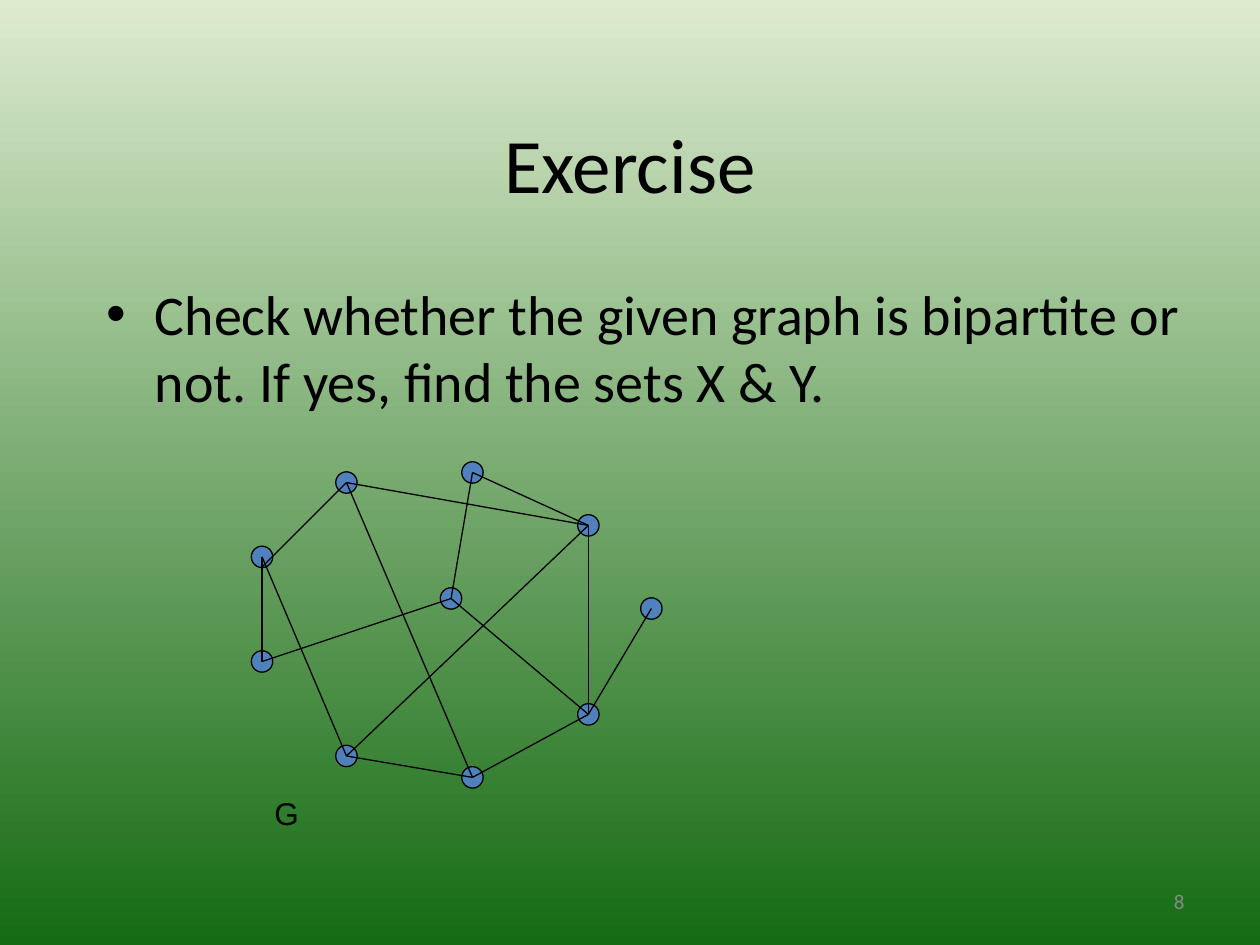
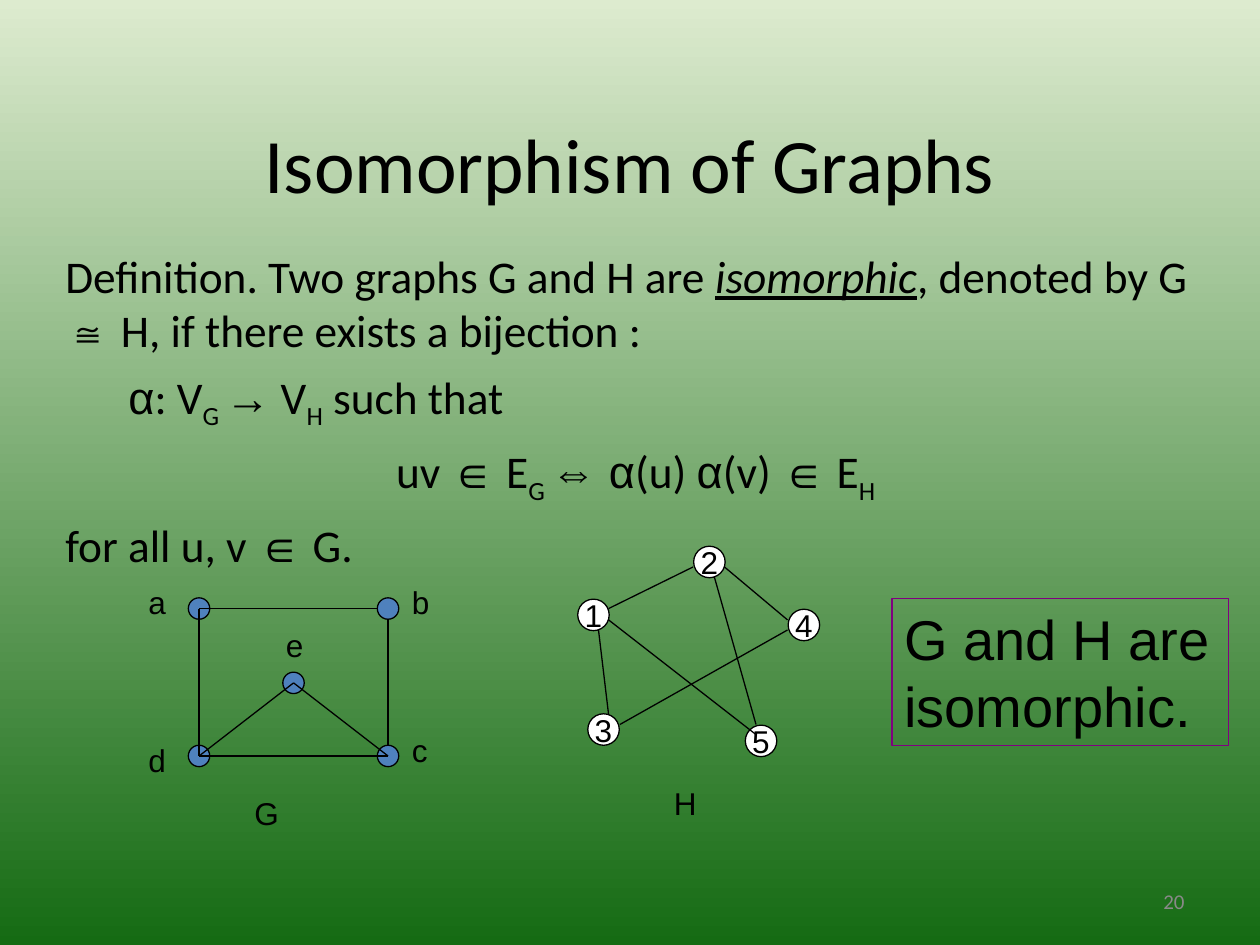
"""Build two graph theory slides: a bipartite exercise and an isomorphism definition."""
from dataclasses import dataclass

from lxml import etree
from pptx import Presentation
from pptx.dml.color import RGBColor
from pptx.enum.shapes import MSO_CONNECTOR, MSO_SHAPE
from pptx.enum.text import MSO_ANCHOR, PP_ALIGN
from pptx.oxml.ns import qn
from pptx.util import Inches, Pt

LEFT, CENTER, RIGHT = PP_ALIGN.LEFT, PP_ALIGN.CENTER, PP_ALIGN.RIGHT
TOP, MIDDLE = MSO_ANCHOR.TOP, MSO_ANCHOR.MIDDLE
ELLIPSE, RECTANGLE = MSO_SHAPE.OVAL, MSO_SHAPE.RECTANGLE
STRAIGHT = MSO_CONNECTOR.STRAIGHT
BODY, SYMBOL, SUBSCRIPT, TERM = "body", "symbol", "subscript", "term"


@dataclass(frozen=True)
class Theme:
    """Colours, fonts, type sizes and line width."""
    background_top: str = "DDEBCF"
    background_bottom: str = "156B13"
    ink: str = "000000"
    muted: str = "898989"
    node: str = "4F81BD"
    node_numbered: str = "FFFFFF"
    frame: str = "800080"
    body_font: str = "Calibri"
    label_font: str = "Arial"
    title_size: float = 44
    large_size: float = 32
    definition_size: float = 25.9
    label_size: float = 18
    number_size: float = 12
    line_width: float = 0.75


THEME = Theme()
TITLE_BOX = (0.75, 0.88, 8.5, 0.83)
NUMBER_BOX = (7.17, 6.95, 2.33, 0.4)

EXERCISE = "Check whether the given graph is bipartite or not. If yes, find the sets X & Y."
EXERCISE_BOX = (0.75, 2.17, 8.92, 4.5)

DEFINITION_BOX = (0.42, 1.92, 9.25, 2.75)
DEFINITION = [
    (LEFT, [("Definition. Two graphs G and H are ", BODY), ("isomorphic", TERM),
            (", denoted by G ", BODY), ("≅", SYMBOL),
            (" H, if there exists a bijection :", BODY)]),
    (LEFT, [("\t", BODY), ("α", SYMBOL), (": V", BODY), ("G ", SUBSCRIPT), ("→", SYMBOL),
            (" V", BODY), ("H", SUBSCRIPT), (" such that", BODY)]),
    (CENTER, [("uv ", BODY), ("∈", SYMBOL), (" E", BODY), ("G ", SUBSCRIPT),
              ("⇔ α", SYMBOL), ("(u) ", BODY), ("α", SYMBOL), ("(v) ", BODY),
              ("∈", SYMBOL), (" E", BODY), ("H", SUBSCRIPT)]),
    (LEFT, [("for all u, v ", BODY), ("∈", SYMBOL), (" G.", BODY)]),
]
CONCLUSION = "G and H are isomorphic."
CONCLUSION_BOX = (7.08, 4.75, 2.67, 1.17)

EXERCISE_GRAPH = {
    "diameter": 0.17,
    "nodes": {
        "west": (2.08, 4.42), "northwest": (2.75, 3.83), "southwest": (2.08, 5.25),
        "middle": (3.58, 4.75), "south": (2.75, 6), "bottom": (3.75, 6.17),
        "southeast": (4.67, 5.67), "east": (5.17, 4.83), "northeast": (4.67, 4.17),
        "top": (3.75, 3.75),
    },
    "edges": [
        ("top", "middle"), ("top", "northeast"), ("northeast", "northwest"),
        ("northeast", "south"), ("northeast", "southeast"), ("southeast", "east"),
        ("southeast", "middle"), ("southeast", "bottom"), ("bottom", "south"),
        ("bottom", "northwest"), ("south", "west"), ("west", "southwest"),
        ((2.08, 4.5), "northwest"), ("southwest", "middle"),
    ],
    "labels": [("G", 2.08, 6.25)],
}
GRAPH_G = {
    "diameter": 0.17,
    "nodes": {"a": (1.58, 4.83), "d": (1.58, 6), "e": (2.33, 5.42),
              "c": (3.08, 6), "b": (3.08, 4.83)},
    "edges": [("a", "d"), ("a", (3, 4.83)), ("d", "c"),
              ((3.08, 4.92), (3.08, 5.92)), ("e", "d"), ("e", "c")],
    "labels": [("G", 1.92, 6.25), ("a", 1.08, 4.58), ("e", 2.17, 4.92),
               ("d", 1.08, 5.83), ("c", 3.17, 5.75), ("b", 3.17, 4.58)],
}
GRAPH_H = {
    "diameter": 0.25,
    "numbered": True,
    "nodes": {"1": (4.71, 4.88), "3": (4.79, 5.79), "5": (6.04, 5.88),
              "4": (6.38, 4.96), "2": (5.63, 4.46)},
    "edges": [((4.83, 4.83), (5.5, 4.5)), ((4.75, 5), (4.83, 5.67)),
              ((4.83, 4.92), (6, 5.83)), ((5.67, 4.58), (6, 5.75)),
              ((5.75, 4.5), (6.25, 4.92)), ((6.25, 5), (4.92, 5.75))],
    "labels": [("H", 5.25, 6.17)],
}


def color(value):
    return RGBColor.from_string(value)


def inches(values):
    return [Inches(value) for value in values]


def add_run(paragraph, text, size, style=BODY, ink=THEME.ink):
    run = paragraph.add_run()
    run.text = text
    font = run.font
    font.name = THEME.label_font if style == SYMBOL else THEME.body_font
    font.size = Pt(size)
    font.color.rgb = color(ink)
    if style == TERM:
        font.italic = font.underline = True
    if style == SUBSCRIPT:
        run._r.get_or_add_rPr().set("baseline", "-25000")


def write(shape, text, size, style=BODY, align=LEFT, anchor=TOP, wrap=True, ink=THEME.ink):
    frame = shape.text_frame
    frame.word_wrap = wrap
    frame.vertical_anchor = anchor
    paragraph = frame.paragraphs[0]
    paragraph.alignment = align
    add_run(paragraph, text, size, style, ink)
    return paragraph


def add_text(slide, box, text, size, **options):
    return write(slide.shapes.add_textbox(*inches(box)), text, size, **options)


def add_outlined(slide, kind, box, line, fill=None):
    shape = slide.shapes.add_shape(kind, *inches(box))
    shape.shadow.inherit = False
    if fill:
        shape.fill.solid()
        shape.fill.fore_color.rgb = color(fill)
    else:
        shape.fill.background()
    shape.line.color.rgb = color(line)
    shape.line.width = Pt(THEME.line_width)
    return shape


def add_edge(slide, start, end):
    edge = slide.shapes.add_connector(STRAIGHT, *inches((*start, *end)))
    edge.line.color.rgb = color(THEME.ink)
    edge.line.width = Pt(THEME.line_width)
    etree.SubElement(edge._element.spPr, qn("a:effectLst"))


def add_graph(slide, graph):
    nodes, diameter = graph["nodes"], graph["diameter"]
    numbered = graph.get("numbered", False)
    fill = THEME.node_numbered if numbered else THEME.node
    for name, (x, y) in nodes.items():
        box = (x - diameter / 2, y - diameter / 2, diameter, diameter)
        node = add_outlined(slide, ELLIPSE, box, THEME.ink, fill)
        if numbered:
            write(node, name, THEME.label_size, SYMBOL, CENTER, MIDDLE, wrap=False)
    for start, end in graph["edges"]:
        add_edge(slide, nodes.get(start, start), nodes.get(end, end))
    for text, left, top in graph["labels"]:
        add_text(slide, (left, top, 0.58, 0.4), text, THEME.label_size, style=SYMBOL)


def add_bullet(paragraph):
    properties = paragraph._p.get_or_add_pPr()
    properties.set("marL", str(Inches(0.38)))
    properties.set("indent", str(Inches(-0.38)))
    bullet_color = etree.SubElement(properties, qn("a:buClr"))
    etree.SubElement(bullet_color, qn("a:srgbClr")).set("val", THEME.ink)
    etree.SubElement(properties, qn("a:buFont")).set("typeface", THEME.label_font)
    etree.SubElement(properties, qn("a:buChar")).set("char", "•")


def add_definition(slide):
    frame = slide.shapes.add_textbox(*inches(DEFINITION_BOX)).text_frame
    frame.word_wrap = True
    for index, (align, runs) in enumerate(DEFINITION):
        paragraph = frame.add_paragraph() if index else frame.paragraphs[0]
        paragraph.alignment = align
        paragraph.space_before = Pt(7 if index else 0)
        for text, style in runs:
            add_run(paragraph, text, THEME.definition_size, style)


def paint_background(master):
    fill = master.background.fill
    fill.gradient()
    fill.gradient_angle = 270
    stops = zip(fill.gradient_stops, (THEME.background_top, THEME.background_bottom))
    for position, (stop, value) in enumerate(stops):
        stop.position = position
        stop.color.rgb = color(value)


def add_slide(presentation, title, number):
    slide = presentation.slides.add_slide(presentation.slide_layouts[6])
    add_text(slide, NUMBER_BOX, number, THEME.number_size,
             align=RIGHT, anchor=MIDDLE, ink=THEME.muted)
    add_text(slide, TITLE_BOX, title, THEME.title_size, align=CENTER, anchor=MIDDLE)
    return slide


def main():
    presentation = Presentation()
    presentation.slide_width, presentation.slide_height = inches((10, 7.5))
    paint_background(presentation.slide_master)

    exercise = add_slide(presentation, "Exercise", "8")
    add_bullet(add_text(exercise, EXERCISE_BOX, EXERCISE, THEME.large_size))
    add_graph(exercise, EXERCISE_GRAPH)

    isomorphism = add_slide(presentation, "Isomorphism of Graphs", "20")
    add_definition(isomorphism)
    add_graph(isomorphism, GRAPH_G)
    add_graph(isomorphism, GRAPH_H)
    conclusion = add_outlined(isomorphism, RECTANGLE, CONCLUSION_BOX, THEME.frame)
    write(conclusion, CONCLUSION, THEME.large_size, SYMBOL)

    presentation.save("out.pptx")


if __name__ == "__main__":
    main()
